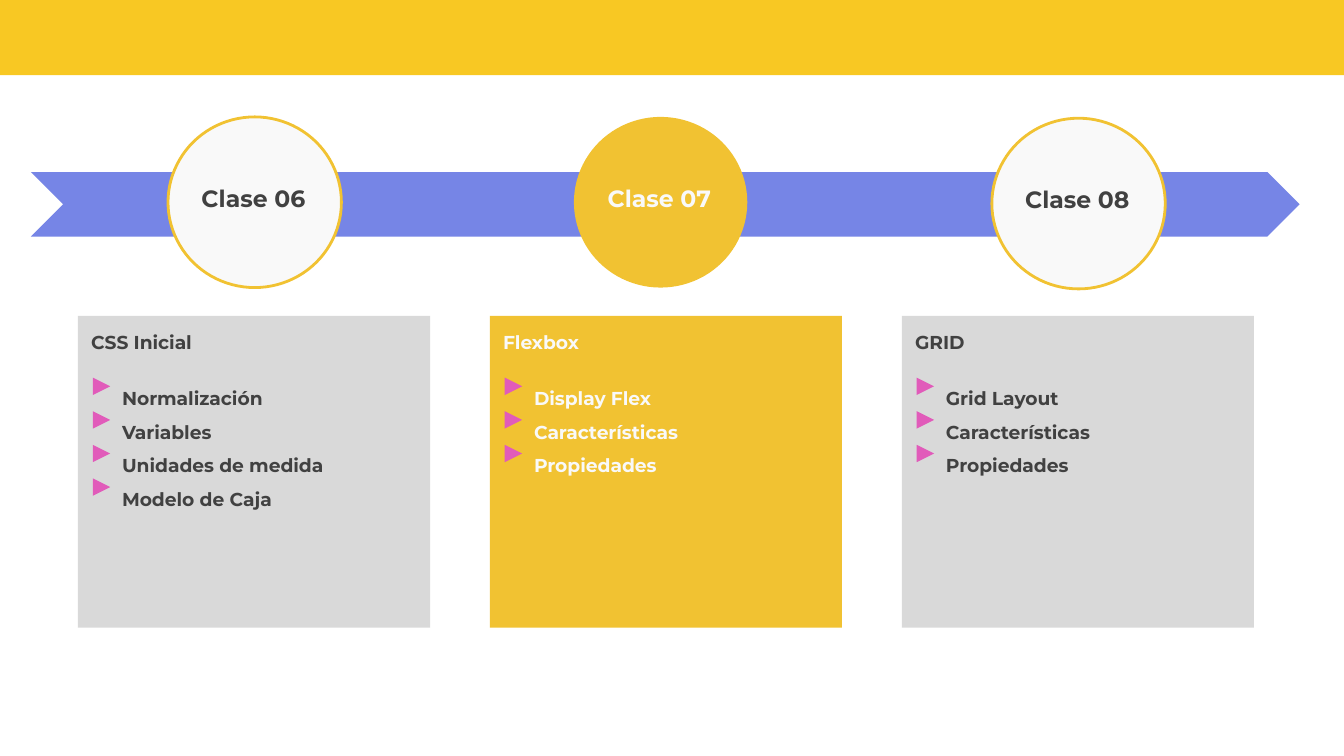
from dataclasses import dataclass

from pptx import Presentation
from pptx import util as u
from pptx.dml.color import RGBColor
from pptx.enum import shapes, text

Inches = u.Inches
Kind = shapes.MSO_SHAPE


@dataclass(frozen=True)
class Theme:
    font: str = "Montserrat"
    band: str = "F8C823"
    arrow: str = "7685E6"
    gold: str = "F1C232"
    light: str = "F9F9F9"
    grey: str = "D9D9D9"
    dark: str = "414141"
    pink: str = "E15BBA"
    label: float = 12.6
    body: float = 10


THEME = Theme()


def add_shape(slide, kind, box, fill, line=None):
    shape = slide.shapes.add_shape(kind, *map(Inches, box))
    shape.shadow.inherit = False
    shape.fill.solid()
    shape.fill.fore_color.rgb = RGBColor.from_string(fill)
    if line:
        shape.line.color.rgb = RGBColor.from_string(line)
        shape.line.width = u.Pt(1.5)
    else:
        shape.line.fill.background()
    return shape


def add_text(frame, words, size, color, align=text.PP_ALIGN.LEFT,
             indent=0, spacing=1.0, before=0, first=False):
    para = frame.paragraphs[0] if first else frame.add_paragraph()
    para._p.get_or_add_pPr().set("marL", str(Inches(indent)))
    para.alignment = align
    para.line_spacing = spacing
    para.space_before = u.Pt(before)
    run = para.add_run()
    run.text = words
    run.font.name = THEME.font
    run.font.size = u.Pt(size)
    run.font.bold = True
    run.font.color.rgb = RGBColor.from_string(color)


def add_frame(slide, box):
    frame = slide.shapes.add_textbox(*map(Inches, box)).text_frame
    frame.word_wrap = True
    frame.vertical_anchor = text.MSO_ANCHOR.TOP
    frame.margin_left = frame.margin_right = Inches(0.1)
    frame.margin_top = frame.margin_bottom = Inches(0.1)
    return frame


def add_stage(slide, box, name, active):
    left, top, width, height = box
    fill = THEME.gold if active else THEME.light
    color = THEME.light if active else THEME.dark
    add_shape(slide, Kind.OVAL, box, fill, None if active else THEME.gold)
    frame = add_frame(slide, (left + 0.04, top + 0.4, width - 0.1, 0.33))
    add_text(frame, name, THEME.label, color,
             align=text.PP_ALIGN.CENTER, first=True)


def add_card(slide, box, title, topics, active):
    left, top, width, height = box
    color = THEME.light if active else THEME.dark
    add_shape(slide, Kind.RECTANGLE, box, THEME.gold if active else THEME.grey)
    frame = add_frame(slide, (left, top + 0.01, width, height))
    add_text(frame, title, THEME.body, color, first=True)
    for row, topic in enumerate(topics):
        add_text(frame, topic, THEME.body, color, indent=0.23, spacing=1.5,
                 before=0 if row else 12.2)
        marker = add_shape(slide, Kind.ISOSCELES_TRIANGLE,
                           (left + 0.11, top + 0.46 + 0.25 * row, 0.13, 0.13),
                           THEME.pink)
        marker.rotation = 90


def main():
    deck = Presentation()
    deck.slide_width, deck.slide_height = Inches(10), Inches(10 * 9 / 16)
    slide = deck.slides.add_slide(deck.slide_layouts[6])

    add_shape(slide, Kind.RECTANGLE, (-0.01, -0.05, 10.03, 0.61), THEME.band)
    add_shape(slide, Kind.CHEVRON, (0.23, 1.28, 9.44, 0.48), THEME.arrow)

    classes = [
        ("Clase 06", 1.25, 0.87, "CSS Inicial",
         ["Normalización", "Variables", "Unidades de medida",
          "Modelo de Caja"]),
        ("Clase 07", 4.27, 0.87, "Flexbox",
         ["Display Flex", "Características", "Propiedades"]),
        ("Clase 08", 7.38, 0.88, "GRID",
         ["Grid Layout", "Características", "Propiedades"]),
    ]
    for col, (name, left, top, title, topics) in enumerate(classes):
        active = name == "Clase 07"
        add_stage(slide, (left, top, 1.29, 1.27), name, active)
        add_card(slide, (0.58 + 6.13 * col / 2, 2.35, 2.62, 2.32),
                 title, topics, active)

    deck.save("out.pptx")


if __name__ == "__main__":
    main()
